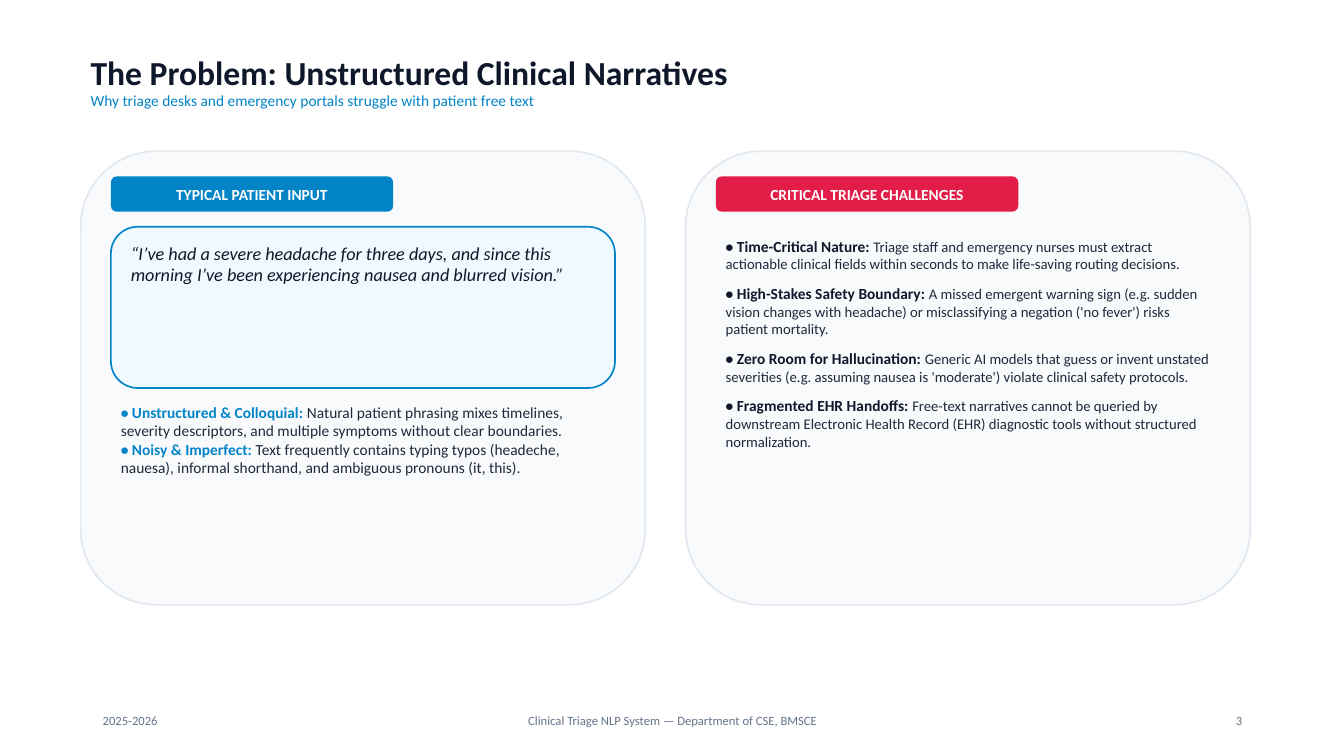
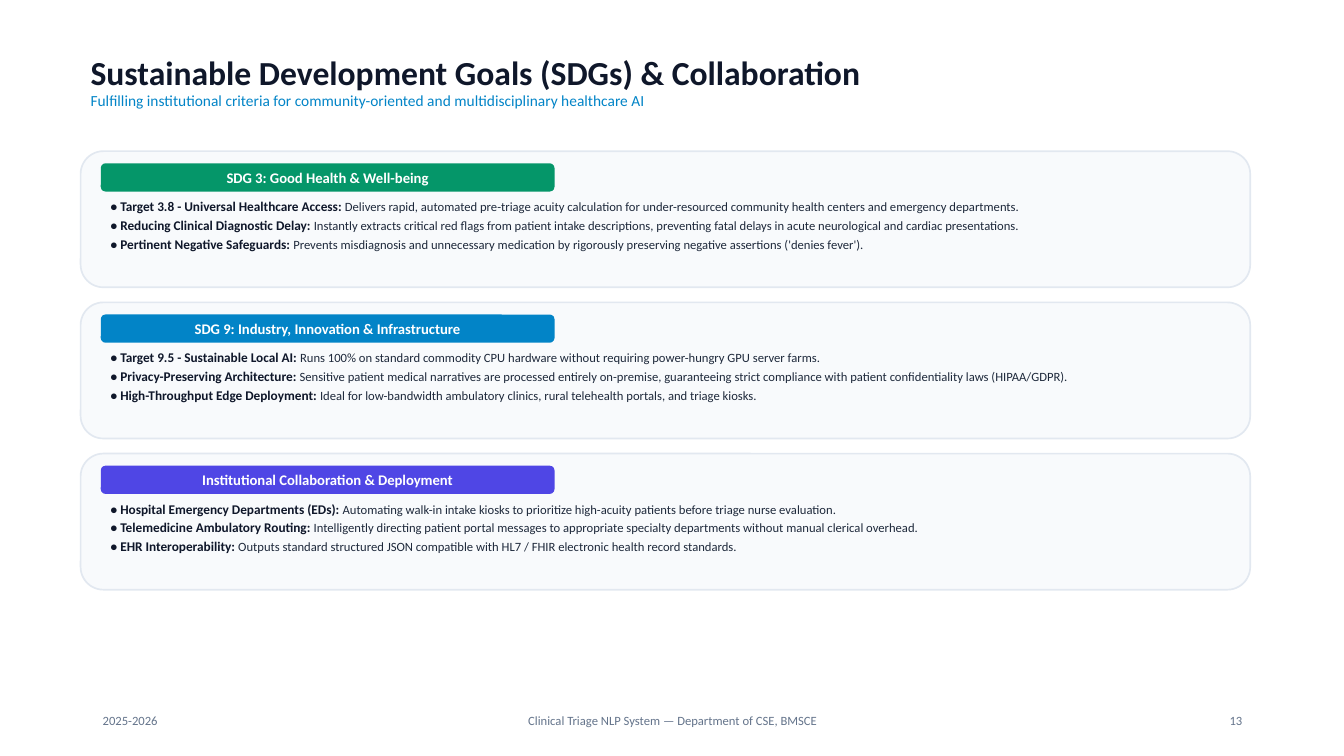
from dataclasses import dataclass

from pptx import Presentation
from pptx.dml.color import RGBColor
from pptx.enum.shapes import MSO_SHAPE as Shape
from pptx.enum.text import MSO_ANCHOR as Anchor, PP_ALIGN as Align
from pptx.util import Emu, Pt


@dataclass(frozen=True)
class Theme:
    font: str = "Calibri"
    # Colours
    background: str = "FFFFFF"
    white: str = "FFFFFF"
    heading: str = "0F172A"
    body: str = "1E293B"
    muted: str = "64748B"
    card: str = "F8FAFC"
    card_border: str = "E2E8F0"
    quote: str = "F0F9FF"
    blue: str = "0284C7"
    red: str = "E11D48"
    green: str = "059669"
    indigo: str = "4F46E5"
    # Type sizes and line width in points
    title_size: float = 24
    quote_size: float = 13
    text_size: float = 11
    detail_size: float = 10.5
    compact_size: float = 9.5
    small_size: float = 9
    border: float = 1.2


THEME = Theme()
EMU_PER_PX = 9144  # 100 px to the inch
WIDTH, HEIGHT = 1333, 750
MARGIN, CONTENT_TOP, CONTENT_WIDTH = 80, 150, 1160


def px(length):
    return Emu(length * EMU_PER_PX)


class Deck:
    """Holds the theme, the presentation and the slide being built."""

    def __init__(self, theme):
        self.theme = theme
        self.presentation = Presentation()
        self.presentation.slide_width = px(WIDTH)
        self.presentation.slide_height = px(HEIGHT)
        self.slide = None

    def add_slide(self, title, subtitle, number):
        layout = self.presentation.slide_layouts[6]
        self.slide = self.presentation.slides.add_slide(layout)
        fill = self.slide.background.fill
        fill.solid()
        fill.fore_color.rgb = RGBColor.from_string(self.theme.background)
        self.title(title, subtitle)
        self.footer(number)

    def style(self, run, size, color, bold=False, italic=False):
        font = run.font
        font.name = self.theme.font
        font.size = Pt(size)
        font.color.rgb = RGBColor.from_string(color)
        font.bold = bold
        font.italic = italic

    def text_frame(self, left, top, width, height, anchor=Anchor.TOP):
        box = self.slide.shapes.add_textbox(px(left), px(top), px(width), px(height))
        frame = box.text_frame
        frame.word_wrap = True
        frame.vertical_anchor = anchor
        return frame

    def text(self, left, top, width, height, content, size, color,
             align=Align.LEFT, anchor=Anchor.TOP, italic=False):
        frame = self.text_frame(left, top, width, height, anchor)
        frame.text = content
        paragraph = frame.paragraphs[0]
        paragraph.alignment = align
        self.style(paragraph.runs[0], size, color, italic=italic)

    def title(self, title, subtitle):
        theme = self.theme
        frame = self.text_frame(MARGIN, 35, 1020, 95, Anchor.MIDDLE)
        frame.text = f"{title}\n{subtitle}"
        heading, tagline = frame.paragraphs
        heading.line_spacing = tagline.line_spacing = 0.9
        self.style(heading.runs[0], theme.title_size, theme.heading, bold=True)
        self.style(tagline.runs[0], theme.text_size, theme.blue)

    def footer(self, number):
        parts = (
            (92, 300, "2025-2026", Align.LEFT),
            (442, 450, "Clinical Triage NLP System — Department of CSE, BMSCE", Align.CENTER),
            (942, 300, str(number), Align.RIGHT),
        )
        for left, width, content, align in parts:
            self.text(left, 695, width, 40, content, self.theme.small_size,
                      self.theme.muted, align, Anchor.MIDDLE)

    def panel(self, left, top, width, height, fill, border=None):
        shape = self.slide.shapes.add_shape(
            Shape.ROUNDED_RECTANGLE, px(left), px(top), px(width), px(height))
        shape.shadow.inherit = False
        shape.fill.solid()
        shape.fill.fore_color.rgb = RGBColor.from_string(fill)
        if border:
            shape.line.color.rgb = RGBColor.from_string(border)
            shape.line.width = Pt(self.theme.border)
        else:
            shape.line.fill.background()
        return shape

    def card(self, left, top, width, height):
        self.panel(left, top, width, height, self.theme.card, self.theme.card_border)

    def badge(self, left, top, width, height, label, color, size):
        frame = self.panel(left, top, width, height, color).text_frame
        frame.word_wrap = False
        frame.vertical_anchor = Anchor.MIDDLE
        frame.text = label
        paragraph = frame.paragraphs[0]
        paragraph.alignment = Align.CENTER
        self.style(paragraph.runs[0], size, self.theme.white, bold=True)

    def points(self, left, top, width, height, items, term_size, detail_size,
               term_color, gap=0):
        frame = self.text_frame(left, top, width, height)
        for index, (term, detail) in enumerate(items):
            paragraph = frame.add_paragraph() if index else frame.paragraphs[0]
            paragraph.space_before = Pt(gap if index else 0)
            paragraph.text = f"• {term}: "
            self.style(paragraph.runs[0], term_size, term_color, bold=True)
            run = paragraph.add_run()
            run.text = detail
            self.style(run, detail_size, self.theme.body)


INPUT_TRAITS = (
    ("Unstructured & Colloquial",
     "Natural patient phrasing mixes timelines, severity descriptors, and multiple "
     "symptoms without clear boundaries."),
    ("Noisy & Imperfect",
     "Text frequently contains typing typos (headeche, nauesa), informal shorthand, "
     "and ambiguous pronouns (it, this)."),
)

CHALLENGES = (
    ("Time-Critical Nature",
     "Triage staff and emergency nurses must extract actionable clinical fields "
     "within seconds to make life-saving routing decisions."),
    ("High-Stakes Safety Boundary",
     "A missed emergent warning sign (e.g. sudden vision changes with headache) or "
     "misclassifying a negation ('no fever') risks patient mortality."),
    ("Zero Room for Hallucination",
     "Generic AI models that guess or invent unstated severities (e.g. assuming "
     "nausea is 'moderate') violate clinical safety protocols."),
    ("Fragmented EHR Handoffs",
     "Free-text narratives cannot be queried by downstream Electronic Health Record "
     "(EHR) diagnostic tools without structured normalization."),
)

GOALS = (
    ("SDG 3: Good Health & Well-being", THEME.green, (
        ("Target 3.8 - Universal Healthcare Access",
         "Delivers rapid, automated pre-triage acuity calculation for under-resourced "
         "community health centers and emergency departments."),
        ("Reducing Clinical Diagnostic Delay",
         "Instantly extracts critical red flags from patient intake descriptions, "
         "preventing fatal delays in acute neurological and cardiac presentations."),
        ("Pertinent Negative Safeguards",
         "Prevents misdiagnosis and unnecessary medication by rigorously preserving "
         "negative assertions ('denies fever')."),
    )),
    ("SDG 9: Industry, Innovation & Infrastructure", THEME.blue, (
        ("Target 9.5 - Sustainable Local AI",
         "Runs 100% on standard commodity CPU hardware without requiring power-hungry "
         "GPU server farms."),
        ("Privacy-Preserving Architecture",
         "Sensitive patient medical narratives are processed entirely on-premise, "
         "guaranteeing strict compliance with patient confidentiality laws (HIPAA/GDPR)."),
        ("High-Throughput Edge Deployment",
         "Ideal for low-bandwidth ambulatory clinics, rural telehealth portals, and "
         "triage kiosks."),
    )),
    ("Institutional Collaboration & Deployment", THEME.indigo, (
        ("Hospital Emergency Departments (EDs)",
         "Automating walk-in intake kiosks to prioritize high-acuity patients before "
         "triage nurse evaluation."),
        ("Telemedicine Ambulatory Routing",
         "Intelligently directing patient portal messages to appropriate specialty "
         "departments without manual clerical overhead."),
        ("EHR Interoperability",
         "Outputs standard structured JSON compatible with HL7 / FHIR electronic "
         "health record standards."),
    )),
)


def build_problem(deck):
    theme = deck.theme
    deck.add_slide("The Problem: Unstructured Clinical Narratives",
                   "Why triage desks and emergency portals struggle with patient free text", 3)

    # Two equal cards, each with a badge
    gap, padding = 40, 30
    card_width = (CONTENT_WIDTH - gap) // 2
    inner_width = card_width - 2 * padding
    badges = (("TYPICAL PATIENT INPUT", theme.blue, 280),
              ("CRITICAL TRIAGE CHALLENGES", theme.red, 300))
    for column, (label, color, badge_width) in enumerate(badges):
        left = MARGIN + column * (card_width + gap)
        deck.card(left, CONTENT_TOP, card_width, 450)
        deck.badge(left + padding, CONTENT_TOP + 25, badge_width, 35,
                   label, color, theme.text_size)

    # Patient quote and its traits
    input_left = MARGIN + padding
    deck.panel(input_left, 225, inner_width, 160, theme.quote, theme.blue)
    deck.text(input_left + 10, 235, inner_width - 20, 140,
              "“I’ve had a severe headache for three days, and since this morning "
              "I’ve been experiencing nausea and blurred vision.”",
              theme.quote_size, theme.heading, italic=True)
    deck.points(input_left, 395, inner_width, 180, INPUT_TRAITS,
                theme.text_size, theme.text_size, theme.blue)

    # Challenges
    deck.points(input_left + card_width + gap, 230, inner_width, 350, CHALLENGES,
                theme.text_size, theme.detail_size, theme.heading, gap=8)


def build_goals(deck):
    theme = deck.theme
    deck.add_slide("Sustainable Development Goals (SDGs) & Collaboration",
                   "Fulfilling institutional criteria for community-oriented and "
                   "multidisciplinary healthcare AI", 13)

    # One full-width card per goal
    card_height, gap, padding = 135, 15, 20
    left = MARGIN + padding
    for row, (label, color, items) in enumerate(GOALS):
        top = CONTENT_TOP + row * (card_height + gap)
        deck.card(MARGIN, top, CONTENT_WIDTH, card_height)
        deck.badge(left, top + 12, 450, 28, label, color, theme.detail_size)
        deck.points(left, top + 42, CONTENT_WIDTH - 2 * padding, 85, items,
                    theme.compact_size, theme.small_size, theme.heading, gap=2)


def main():
    deck = Deck(THEME)
    build_problem(deck)
    build_goals(deck)
    deck.presentation.save("out.pptx")


if __name__ == "__main__":
    main()
